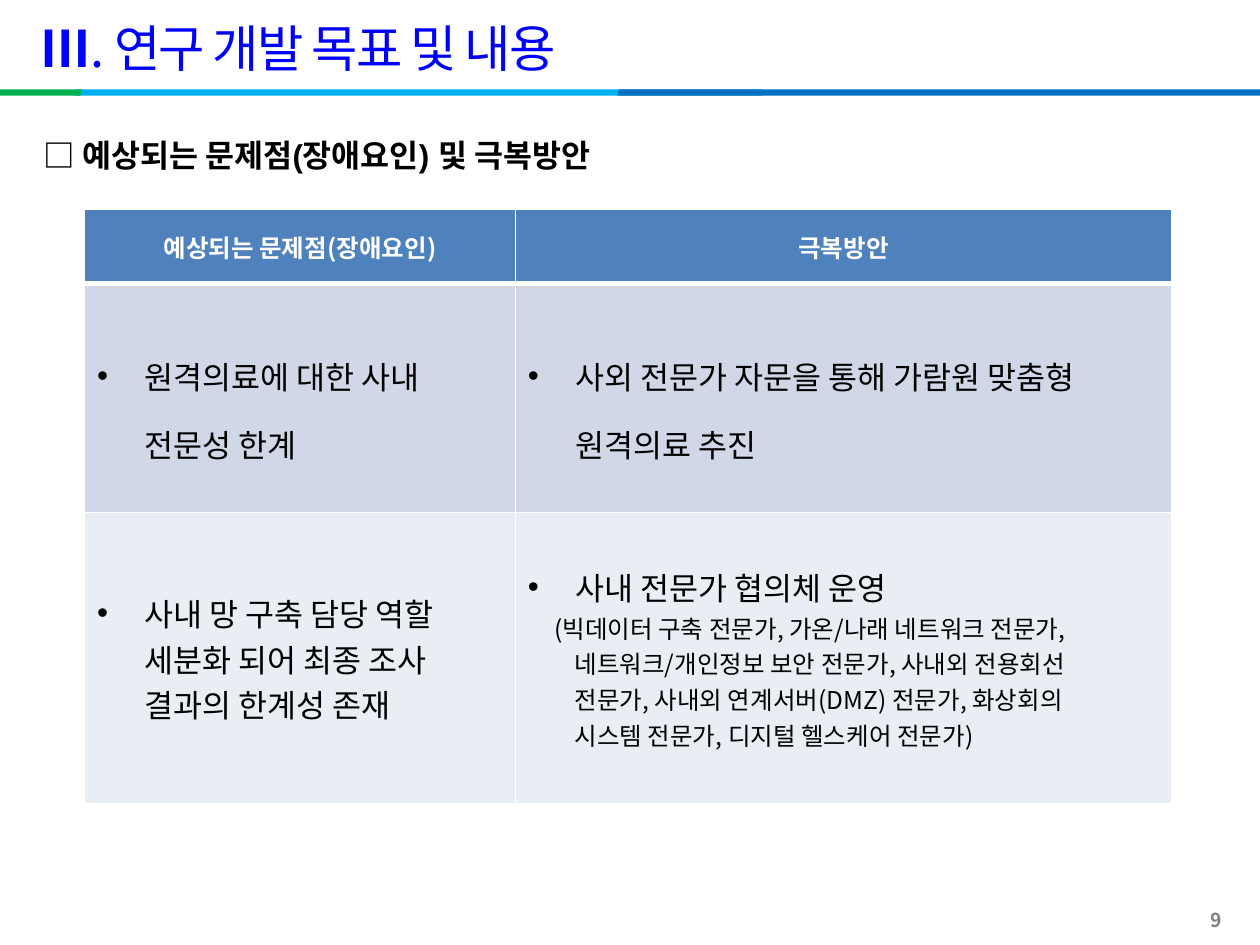
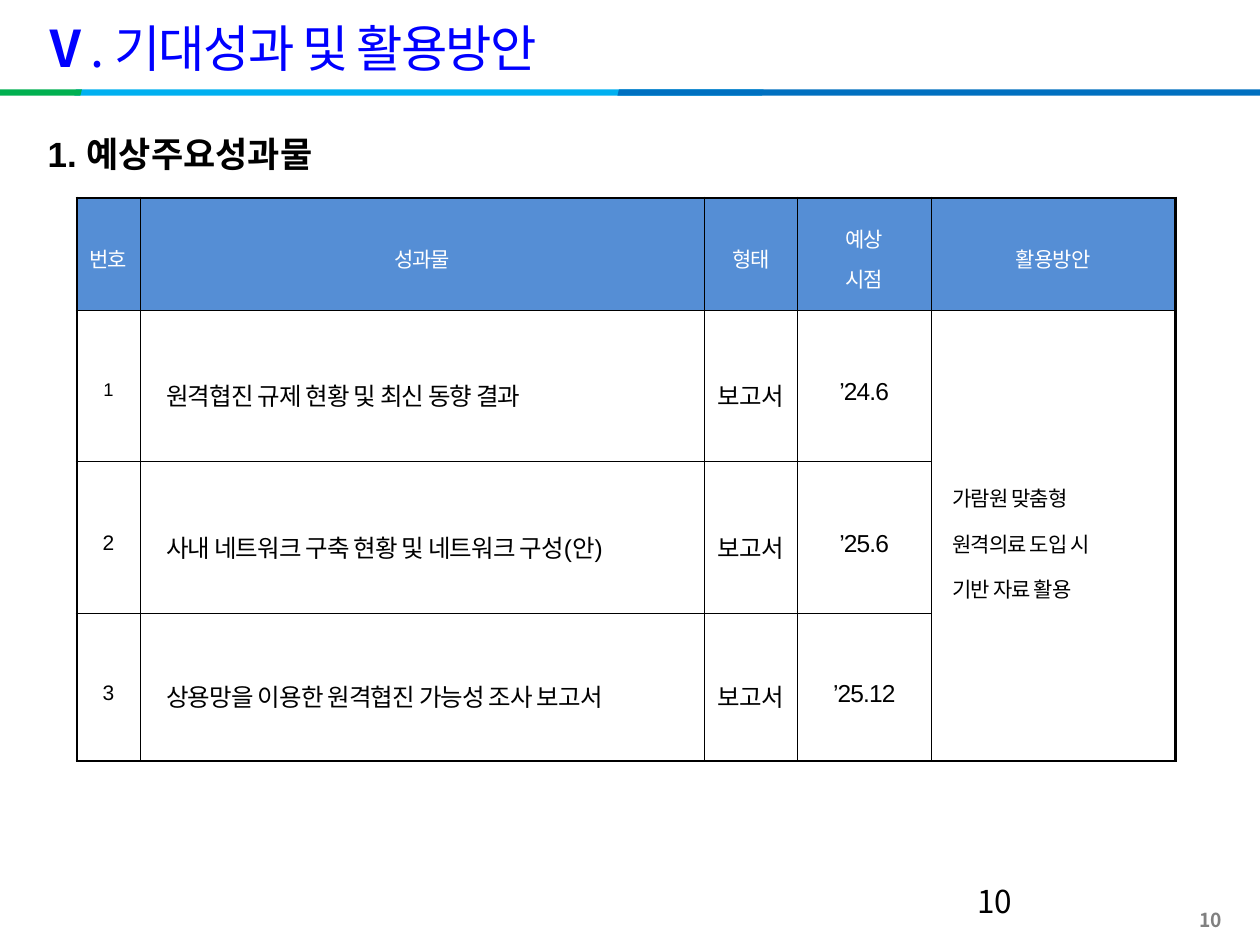
from lxml.etree import SubElement
from pptx import Presentation
from pptx.dml.color import RGBColor
from pptx.enum.shapes import MSO_SHAPE as Shape
from pptx.enum.text import MSO_ANCHOR as Anchor, PP_ALIGN as Align
from pptx.oxml.ns import qn
from pptx.util import Inches, Pt

KOREAN, LATIN = "Noto Sans CJK KR", "Arial"
BLACK, WHITE, GRAY, TITLE_BLUE = "000000", "FFFFFF", "808080", "0000FF"

# Shared band: left, width, colour
BANDS = [(0.59, 5.47, "00B0F0"), (4.9, 5.18, "0070C0"), (-0.03, 0.68, "00B050")]
BAND_TOP, BAND_HEIGHT = 0.71, 0.05

# Text styles
HEADING = dict(size=18, font=LATIN, bold=True)
RISK_HEADER = dict(size=14, color=WHITE, bold=True, align=Align.CENTER)
BULLET = dict(size=18, margin=0.38, indent=-0.38, bullet="•")
WIDE_BULLET = dict(BULLET, spacing=1.5)
DETAIL_FIRST = dict(size=14, margin=0.21)
DETAIL = dict(size=14, margin=0.37)
RESULT_HEADER = dict(size=12, color=WHITE, align=Align.CENTER, spacing=1.3, tracking=-0.5)
CENTERED = dict(size=14, font=LATIN, align=Align.CENTER, spacing=1.5, tracking=-0.5)
NUMBER = dict(CENTERED, size=12)
FIRST_NUMBER = dict(CENTERED, size=10.5, tracking=0)
RESULT = dict(CENTERED, align=Align.JUSTIFY, margin=0.14)
USE = dict(RESULT, size=12, margin=0.1)

# Each cell is a list of (text, style) paragraphs
RISKS = [
    [[("예상되는 문제점(장애요인)", RISK_HEADER)], [("극복방안", RISK_HEADER)]],
    [[("원격의료에 대한 사내 전문성 한계", WIDE_BULLET)],
     [("사외 전문가 자문을 통해 가람원 맞춤형 원격의료 추진", WIDE_BULLET)]],
    [[("사내 망 구축 담당 역할 세분화 되어 최종 조사 결과의 한계성 존재", BULLET)],
     [("사내 전문가 협의체 운영", BULLET),
      ("(빅데이터 구축 전문가, 가온/나래 네트워크 전문가,", DETAIL_FIRST),
      ("네트워크/개인정보 보안 전문가, 사내외 전용회선", DETAIL),
      ("전문가, 사내외 연계서버(DMZ) 전문가, 화상회의", DETAIL),
      ("시스템 전문가, 디지털 헬스케어 전문가)", DETAIL)]],
]
RISK_COLUMNS, RISK_ROWS = [3.42, 5.21], [0.59, 1.82, 2.31]
RISK_FILLS = ["4F81BD", "D0D8E8", "E9EDF4"]

RESULT_TITLES = [["번호"], ["성과물"], ["형태"], ["예상", "시점"], ["활용방안"]]
RESULTS = [
    ("1", "원격협진 규제 현황 및 최신 동향 결과", "보고서", "’24.6"),
    ("2", "사내 네트워크 구축 현황 및 네트워크 구성(안)", "보고서", "’25.6"),
    ("3", "상용망을 이용한 원격협진 가능성 조사 보고서", "보고서", "’25.12"),
]
RESULT_USE = ["가람원 맞춤형", "원격의료 도입 시", "기반 자료 활용"]
RESULT_COLUMNS, RESULT_ROWS = [0.5, 4.48, 0.74, 1.06, 1.94], [0.89, 1.2, 1.21, 1.17]
RESULT_FILLS = ["558ED5", None, None, None]


def rgb(value):
    """Turn a hex string into a colour."""
    return RGBColor.from_string(value)


def style_paragraph(paragraph, size, font=KOREAN, color=BLACK, bold=False, align=Align.LEFT,
                    spacing=None, margin=0, indent=0, bullet=None, tracking=0):
    """Set the layout, bullet and font of one paragraph."""
    paragraph.alignment = align
    if spacing:
        paragraph.line_spacing = spacing
    properties = paragraph._p.get_or_add_pPr()
    properties.set("marL", str(Inches(margin)))
    properties.set("indent", str(Inches(indent)))
    if bullet:
        SubElement(properties, qn("a:buFont"), typeface=LATIN)
        SubElement(properties, qn("a:buChar"), char=bullet)
    paragraph.font.size = Pt(size)
    paragraph.font.name = font
    paragraph.font.bold = bold
    paragraph.font.color.rgb = rgb(color)
    defaults = properties.find(qn("a:defRPr"))
    defaults.set("spc", str(int(tracking * 100)))
    SubElement(defaults, qn("a:ea"), typeface=KOREAN)


def write_lines(frame, lines):
    """Fill a text frame with (text, style) paragraphs."""
    for index, (text, style) in enumerate(lines):
        paragraph = frame.add_paragraph() if index else frame.paragraphs[0]
        paragraph.text = text
        style_paragraph(paragraph, **style)


def add_text(slide, box, text, anchor=Anchor.TOP, **style):
    """Add a wrapping text box and return its frame."""
    frame = slide.shapes.add_textbox(*map(Inches, box)).text_frame
    frame.word_wrap = True
    frame.vertical_anchor = anchor
    write_lines(frame, [(text, style)])
    return frame


def add_page(presentation, numeral, title, number):
    """Add a slide with the band, title and page number."""
    slide = presentation.slides.add_slide(presentation.slide_layouts[6])
    for left, width, color in BANDS:
        band = slide.shapes.add_shape(
            Shape.PARALLELOGRAM, *map(Inches, (left, BAND_TOP, width, BAND_HEIGHT)))
        band.shadow.inherit = False
        band.fill.solid()
        band.fill.fore_color.rgb = rgb(color)
        band.line.fill.background()
    footer = add_text(slide, (7.66, 7.1, 2.25, 0.4), number, Anchor.MIDDLE,
                      size=11, color=GRAY, bold=True, align=Align.RIGHT)
    footer.margin_right = Inches(0.21)
    frame = add_text(slide, (0.22, 0.07, 8.62, 0.61), numeral, Anchor.MIDDLE,
                     size=28.8, color=TITLE_BLUE, tracking=-1)
    paragraph = frame.paragraphs[0]
    paragraph.runs[0].font.bold = True
    paragraph.add_run().text = f". {title}"
    return slide


def set_borders(cell, color, widths):
    """Draw the left, right, top and bottom cell borders, widths in points."""
    properties = cell._tc.get_or_add_tcPr()
    for index, (side, width) in enumerate(zip("LRTB", widths)):
        line = SubElement(properties, qn(f"a:ln{side}"), w=str(Pt(width)))
        fill = SubElement(line, qn("a:solidFill"))
        SubElement(fill, qn("a:srgbClr"), val=color)
        properties.insert(index, line)


def add_grid(slide, left, top, columns, rows, cells, fills, line_color,
             column_lines, row_lines, merge=None, insets=None):
    """Add a table; the line lists hold the width of every grid line."""
    table = slide.shapes.add_table(
        len(rows), len(columns), Inches(left), Inches(top),
        Inches(sum(columns)), Inches(sum(rows))).table
    table.first_row = table.horz_banding = False
    for column, width in zip(table.columns, columns):
        column.width = Inches(width)
    for row, height in zip(table.rows, rows):
        row.height = Inches(height)
    if merge:
        first, last = merge
        table.cell(*first).merge(table.cell(*last))
    for r, row_cells in enumerate(cells):
        for c, lines in enumerate(row_cells):
            cell = table.cell(r, c)
            cell.vertical_anchor = Anchor.MIDDLE
            if insets:
                cell.margin_left = cell.margin_right = Inches(insets[0])
                cell.margin_top = cell.margin_bottom = Inches(insets[1])
            write_lines(cell.text_frame, lines)
            if fills[r]:
                cell.fill.solid()
                cell.fill.fore_color.rgb = rgb(fills[r])
            else:
                cell.fill.background()
            height = cell.span_height if cell.is_merge_origin else 1
            set_borders(cell, line_color, (column_lines[c], column_lines[c + 1],
                                           row_lines[r], row_lines[r + height]))


def build_risks(presentation):
    """Build the slide of expected problems and remedies."""
    slide = add_page(presentation, "Ⅲ", "연구 개발 목표 및 내용", "9")
    add_text(slide, (0.25, 1.03, 5, 0.4), "□ 예상되는 문제점(장애요인) 및 극복방안", **HEADING)
    add_grid(slide, 0.67, 1.66, RISK_COLUMNS, RISK_ROWS, RISKS, RISK_FILLS, WHITE,
             column_lines=[1, 1, 1], row_lines=[1, 3, 1, 1])


def build_results(presentation):
    """Build the slide of expected results and their use."""
    slide = add_page(presentation, "Ⅴ", "기대성과 및 활용방안", "10")
    add_text(slide, (0.28, 0.92, 9.53, 5.91), "1. 예상주요성과물",
             **dict(HEADING, size=20, spacing=1.25))
    add_text(slide, (7.66, 6.95, 2.25, 0.4), "10", size=18)
    cells = [[[(line, RESULT_HEADER) for line in title] for title in RESULT_TITLES]]
    for index, texts in enumerate(RESULTS):
        styles = (NUMBER if index else FIRST_NUMBER, RESULT, CENTERED, CENTERED)
        cells.append([[pair] for pair in zip(texts, styles)])
    cells[1].append([(line, USE) for line in RESULT_USE])
    thin, thick = 0.28, 1.7
    add_grid(slide, 0.61, 1.57, RESULT_COLUMNS, RESULT_ROWS, cells, RESULT_FILLS, BLACK,
             column_lines=[thick, *[thin] * 4, thick], row_lines=[thick, *[thin] * 3, thick],
             merge=((1, 4), (3, 4)), insets=(0.07, 0.02))


def main():
    """Build and save the presentation."""
    presentation = Presentation()
    presentation.slide_width, presentation.slide_height = Inches(10), Inches(7.5)
    build_risks(presentation)
    build_results(presentation)
    presentation.save("out.pptx")


main()
